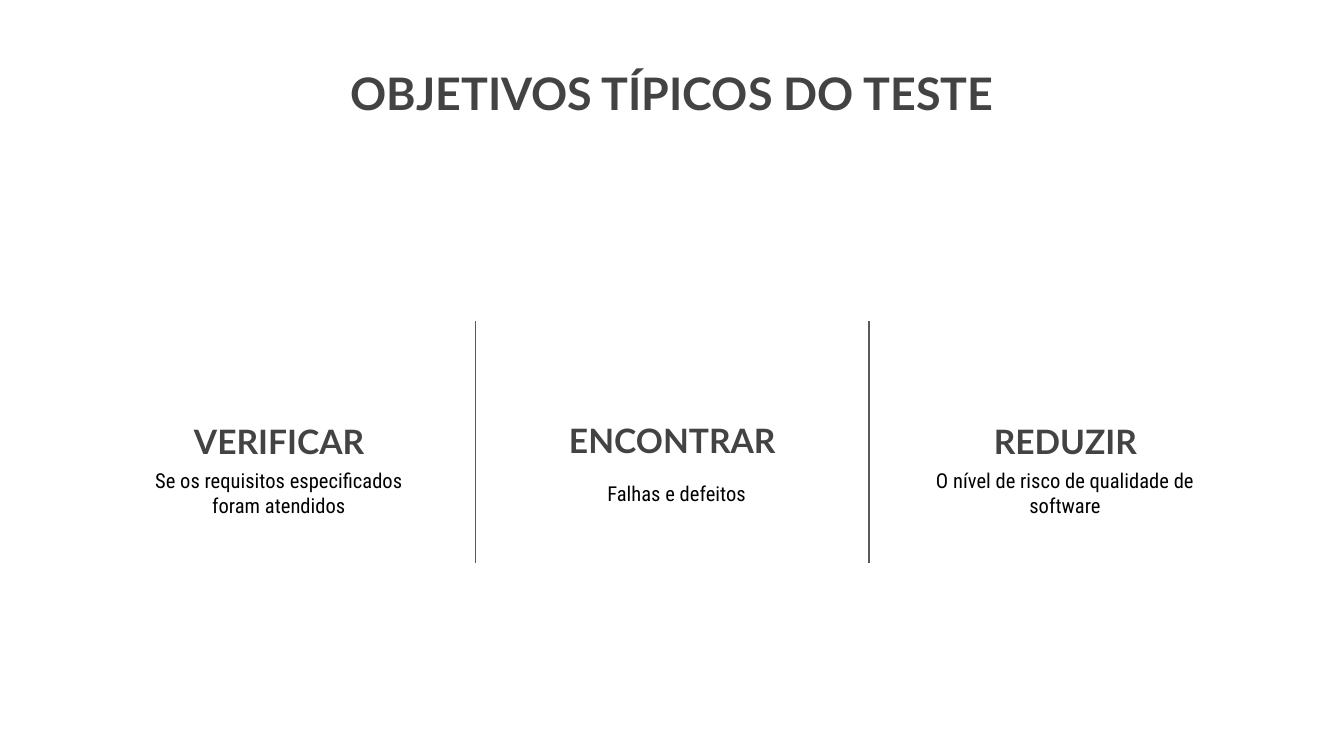
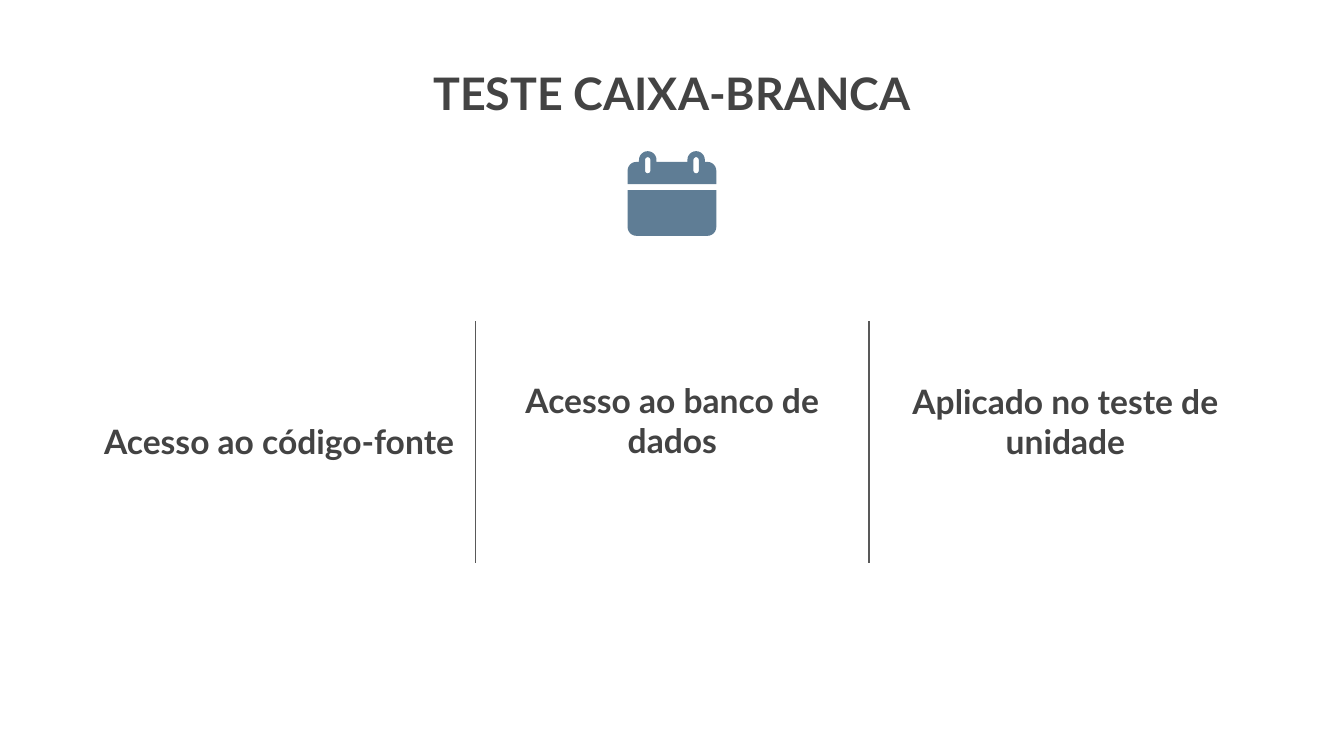
from dataclasses import dataclass
from math import cos, radians, sin

from lxml.etree import SubElement
from pptx import Presentation
from pptx.dml.color import RGBColor as Color
from pptx.enum.shapes import MSO_CONNECTOR as Connector
from pptx.enum.text import MSO_ANCHOR as Anchor, MSO_AUTO_SIZE as AutoSize, PP_ALIGN as Align
from pptx.oxml.ns import qn
from pptx.util import Pt

PX = 4572
SLIDE_SIZE = (2000, 1125)
TITLE_BOX = (430, 78, 1140, 206)
COLUMN_LEFT, COLUMN_WIDTH = 123, 585
HEADING_TOPS, HEADING_HEIGHT = (613, 611, 613), 94
DIVIDER_TOP, DIVIDER_BOTTOM = 478, 838
CAPTION_HEIGHT = 220
INSET = 20


@dataclass(frozen=True)
class Theme:
    """Colours and text formats shared by the slides."""
    ink = Color.from_string("434343")
    black = Color.from_string("000000")
    rule = Color.from_string("595959")
    icon = Color.from_string("5F7D95")
    rule_width = Pt(0.75)
    title = {"name": "Lato", "size": Pt(24), "bold": True}
    heading = {"name": "Lato", "size": Pt(18), "bold": True}
    caption = {"name": "Roboto Condensed", "size": Pt(11), "bold": False}


THEME = Theme()


def set_attributes(target, values):
    """Set every attribute named in a dict of values."""
    for name, value in values.items():
        setattr(target, name, value)


def write_text(shape, box, text, font_format, color, anchor=Anchor.TOP):
    """Place a shape and fill it with one centred paragraph."""
    set_attributes(shape, dict(zip(("left", "top", "width", "height"), (n * PX for n in box))))
    frame = shape.text_frame
    set_attributes(frame, {"word_wrap": True, "auto_size": AutoSize.NONE, "vertical_anchor": anchor})
    set_attributes(frame, {f"margin_{side}": INSET * PX for side in ("left", "top", "right", "bottom")})
    paragraph = frame.paragraphs[0]
    paragraph.alignment = Align.CENTER
    run = paragraph.add_run()
    run.text = text
    set_attributes(run.font, font_format)
    run.font.color.rgb = color


def add_text(slide, box, *content):
    """Add a text box with one formatted paragraph."""
    write_text(slide.shapes.add_textbox(0, 0, PX, PX), box, *content)


def add_divider(slide, x):
    """Draw a thin vertical line between two columns."""
    line = slide.shapes.add_connector(
        Connector.STRAIGHT, x * PX, DIVIDER_TOP * PX, x * PX, DIVIDER_BOTTOM * PX)
    line.line.color.rgb = THEME.rule
    line.line.width = THEME.rule_width
    SubElement(line._element.spPr, qn("a:effectLst"))


def add_column_slide(presentation, title, headings):
    """Add a titled slide with three headings split by dividers."""
    slide = presentation.slides.add_slide(presentation.slide_layouts[5])
    write_text(slide.shapes.title, TITLE_BOX, title, THEME.title, THEME.ink)
    for index, (heading, top) in enumerate(zip(headings, HEADING_TOPS)):
        left = COLUMN_LEFT + index * COLUMN_WIDTH
        box = (left, top, COLUMN_WIDTH, HEADING_HEIGHT)
        add_text(slide, box, heading, THEME.heading, THEME.ink, Anchor.BOTTOM)
        if index:
            add_divider(slide, left)
    return slide


def arc(x, y, radius, start, end):
    """Return points along a clockwise arc in steps of 15 degrees."""
    angles = [radians(angle) for angle in range(start, end + 1, 15)]
    return [(x + radius * cos(angle), y + radius * sin(angle)) for angle in angles]


def add_outline(shapes, contours):
    """Draw closed contours as one filled shape, inner ones as holes."""
    scaled = [[(x * PX, y * PX) for x, y in contour] for contour in contours]
    builder = shapes.build_freeform(*scaled[0][0], scale=1.0)
    for index, contour in enumerate(scaled):
        if index:
            builder.move_to(*contour[0])
        builder.add_line_segments(contour[1:], close=True)
    shape = builder.convert_to_shape()
    shape.shadow.inherit = False
    shape.fill.solid()
    shape.fill.fore_color.rgb = THEME.icon
    shape.line.fill.background()


def add_calendar(slide):
    """Draw the calendar icon: a header with two rings and a body."""
    left, right, corner = 934, 1066, 13
    ring_centers, ring_y, ring_radius = (964, 1036), 238, 13
    slot_radius, slot_length = 4, 16
    header_top, header_bottom, body_top, body_bottom = 241, 274, 283, 351
    header = [(left, header_bottom)]
    header += arc(left + corner, header_top + corner, corner, 180, 270)
    for x in ring_centers:
        header += [(x - ring_radius, header_top), *arc(x, ring_y, ring_radius, 180, 360),
                   (x + ring_radius, header_top)]
    header += arc(right - corner, header_top + corner, corner, 270, 360)
    header.append((right, header_bottom))
    slots = [(arc(x, ring_y, slot_radius, 180, 360)
              + arc(x, ring_y + slot_length, slot_radius, 0, 180))[::-1]
             for x in ring_centers]
    body = [(left, body_top), (right, body_top)]
    body += arc(right - corner, body_bottom - corner, corner, 0, 90)
    body += arc(left + corner, body_bottom - corner, corner, 90, 180)
    group = slide.shapes.add_group_shape()
    add_outline(group.shapes, [header, *slots])
    add_outline(group.shapes, [body])


def add_goals_slide(presentation):
    """Add the slide on the typical goals of testing."""
    slide = add_column_slide(
        presentation, "OBJETIVOS TÍPICOS DO TESTE", ("VERIFICAR", "ENCONTRAR", "REDUZIR"))
    captions = (
        (191, 677, 448, "Se os requisitos especificados foram atendidos"),
        (764, 696, 486, "Falhas e defeitos"),
        (1342, 677, 486, "O nível de risco de qualidade de software"),
    )
    for left, top, width, text in captions:
        add_text(slide, (left, top, width, CAPTION_HEIGHT), text, THEME.caption, THEME.black)


def add_white_box_slide(presentation):
    """Add the slide on white-box testing."""
    slide = add_column_slide(
        presentation, "TESTE CAIXA-BRANCA",
        ("Acesso ao código-fonte", "Acesso ao banco de dados", "Aplicado no teste de unidade"))
    add_calendar(slide)


def main():
    """Build and save the presentation."""
    presentation = Presentation()
    presentation.slide_width, presentation.slide_height = (n * PX for n in SLIDE_SIZE)
    add_goals_slide(presentation)
    add_white_box_slide(presentation)
    presentation.save("out.pptx")


if __name__ == "__main__":
    main()
